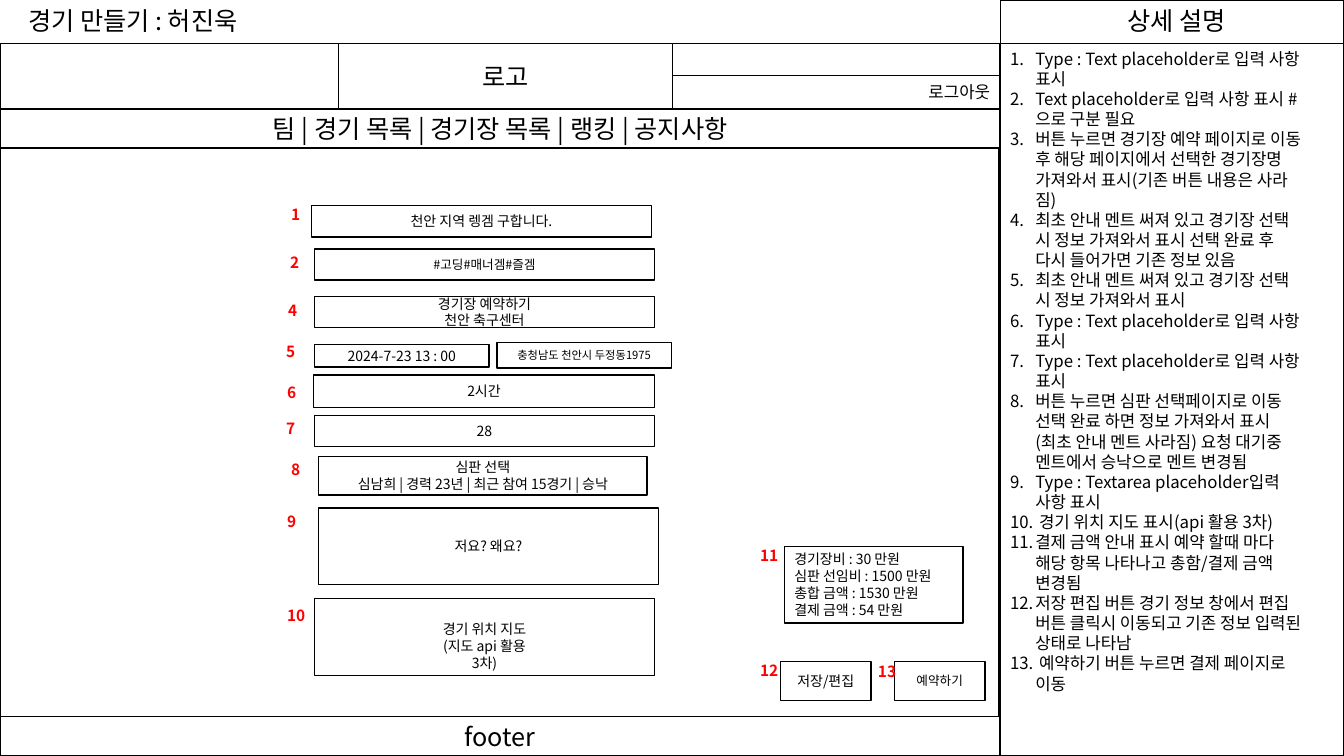
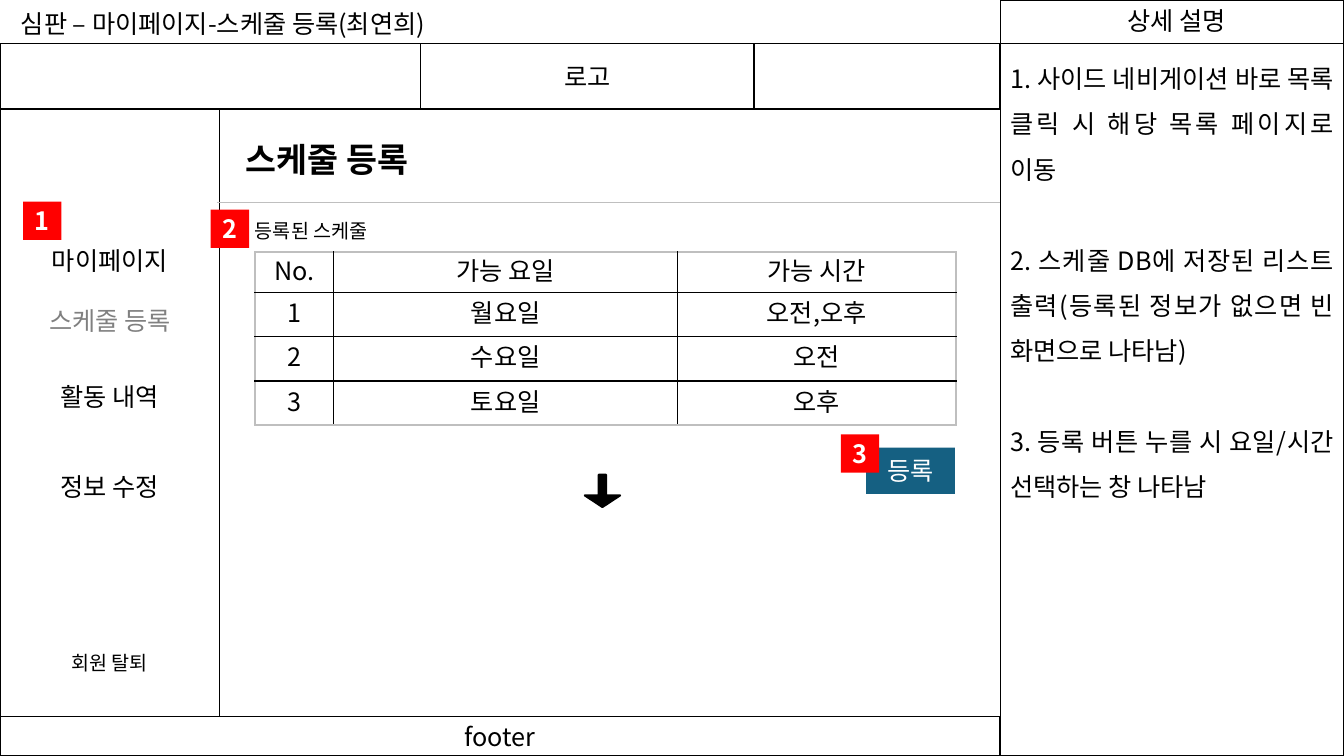
"""Build two wireframe slides: creating a match and registering a referee schedule."""
from lxml.etree import SubElement
from pptx import Presentation
from pptx.dml.color import RGBColor
from pptx.enum.shapes import MSO_CONNECTOR, MSO_SHAPE
from pptx.enum.text import MSO_ANCHOR, PP_ALIGN
from pptx.oxml.ns import qn
from pptx.util import Inches, Pt

FONT = "Noto Sans CJK KR"
LINE_HEIGHT = 1.2
COLORS = {"ink": "000000", "paper": "FFFFFF", "red": "FF0000", "button": "156082",
          "muted": "808080", "rule": "BFBFBF"}
ALIGN = {"left": PP_ALIGN.LEFT, "center": PP_ALIGN.CENTER,
         "right": PP_ALIGN.RIGHT, "justify": PP_ALIGN.JUSTIFY}

MAIN_WIDTH, PANEL_WIDTH, TITLE_HEIGHT = 9.92, 3.41, 0.43
HEADER_HEIGHT, LOGO_WIDTH = 0.65, 3.31
CONTENT_TOP = TITLE_HEIGHT + HEADER_HEIGHT
NAV_HEIGHT = FOOTER_HEIGHT = 0.39
FOOTER_TOP = 7.11

MATCH_FIELDS = [
    ((3.09, 2.04, 3.37, 0.31), ["천안 지역 렝겜 구합니다."], {}),
    ((3.12, 3.42, 1.73, 0.22), ["2024-7-23 13 : 00"], {}),
    ((4.93, 3.4, 1.73, 0.25), ["충청남도 천안시 두정동1975"], {"size": 8}),
    ((3.12, 2.94, 3.37, 0.31), ["경기장 예약하기", "천안 축구센터"], {}),
    ((3.12, 2.47, 3.37, 0.31), ["#고딩#매너겜#즐겜"], {"size": 9}),
    ((3.16, 5.04, 3.37, 0.76), ["저요? 왜요?"], {}),
    ((3.12, 5.94, 3.37, 0.76), ["경기 위치 지도", "(지도 api 활용", "3차)"],
     {"inset_top": 0.22}),
    ((3.12, 4.12, 3.37, 0.31), ["28"], {}),
    ((8.87, 6.56, 0.9, 0.39), ["예약하기"], {"size": 9}),
    ((7.74, 6.56, 0.9, 0.39), ["저장/편집"], {}),
    ((3.16, 4.53, 3.26, 0.38),
     ["심판 선택", "심남희 | 경력 23년 | 최근 참여 15경기 | 승낙"], {}),
    ((7.78, 5.42, 1.77, 0.76),
     ["경기장비 : 30 만원", "심판 선임비 : 1500 만원", "총합 금액 : 1530 만원",
      "결제 금액 : 54 만원"], {"align": "justify"}),
    ((3.11, 3.72, 3.38, 0.32), ["2시간"], {}),
]
MATCH_TAGS = {
    "1": (2.79, 1.99), "2": (2.78, 2.46), "4": (2.76, 2.94), "5": (2.74, 3.34),
    "6": (2.75, 3.75), "7": (2.74, 4.11), "8": (2.79, 4.52), "9": (2.75, 5.03),
    "10": (2.75, 5.96), "11": (7.44, 5.37), "12": (7.44, 6.51), "13": (8.61, 6.52),
}
MATCH_NOTES = [
    "Type : Text placeholder로 입력 사항 표시",
    "Text placeholder로 입력 사항 표시 #으로 구분 필요",
    "버튼 누르면 경기장 예약 페이지로 이동 후 해당 페이지에서 선택한 경기장명 가져와서 "
    "표시(기존 버튼 내용은 사라짐)",
    "최초 안내 멘트 써져 있고 경기장 선택 시 정보 가져와서 표시 선택 완료 후 "
    "다시 들어가면 기존 정보 있음",
    "최초 안내 멘트 써져 있고 경기장 선택 시 정보 가져와서 표시",
    "Type : Text placeholder로 입력 사항 표시",
    "Type : Text placeholder로 입력 사항 표시",
    "버튼 누르면 심판 선택페이지로 이동 선택 완료 하면 정보 가져와서 "
    "표시(최초 안내 멘트 사라짐) 요청 대기중 멘트에서 승낙으로 멘트 변경됨",
    "Type : Textarea placeholder입력 사항 표시",
    " 경기 위치 지도 표시(api 활용 3차)",
    "결제 금액 안내 표시 예약 할때 마다 해당 항목 나타나고 총함/결제 금액 변경됨",
    "저장 편집 버튼 경기 정보 창에서 편집 버튼 클릭시 이동되고 기존 정보 "
    "입력된 상태로 나타남",
    " 예약하기 버튼 누르면 결제 페이지로 이동",
]

SCHEDULE_NOTES = [
    "1. 사이드 네비게이션 바로 목록 클릭 시 해당 목록 페이지로 이동",
    "2. 스케줄 DB에 저장된 리스트 출력(등록된 정보가 없으면 빈 화면으로 나타남)",
    "3. 등록 버튼 누를 시 요일/시간 선택하는 창 나타남",
]
SIDE_MENU = ["마이페이지", "스케줄 등록", "활동 내역", "정보 수정"]
SIDE_MENU_GAPS = [0, 21.6, 32.4, 43.2]
SIDE_MENU_COLORS = ["ink", "muted", "ink", "ink"]
SCHEDULE_ROWS = [
    ("No.", "가능 요일", "가능 시간"),
    ("1", "월요일", "오전,오후"),
    ("2", "수요일", "오전"),
    ("3", "토요일", "오후"),
]
SCHEDULE_WIDTHS = [0.78, 3.41, 2.76]
SCHEDULE_HEIGHTS = [0.4, 0.44, 0.44, 0.44]
SCHEDULE_TAGS = {"1": (0.23, 2), "2": (2.09, 2.08), "3": (8.34, 4.31)}


def rgb(name):
    """Return a palette colour."""
    return RGBColor.from_string(COLORS[name])


def write_text(frame, lines, size=18, color="ink", bold=False, align="left",
               spacing=1, gaps=None, colors=None, numbered=False):
    """Write one paragraph per line with a shared format."""
    frame.word_wrap = True
    for index, line in enumerate(lines):
        paragraph = frame.add_paragraph() if index else frame.paragraphs[0]
        if numbered:
            properties = paragraph._p.get_or_add_pPr()
            properties.set("marL", str(Inches(0.25)))
            properties.set("indent", str(-Inches(0.25)))
            SubElement(properties, qn("a:buFont"), typeface="+mj-lt")
            SubElement(properties, qn("a:buAutoNum"), type="arabicPeriod")
        paragraph.alignment = ALIGN[align]
        paragraph.line_spacing = Pt(size * LINE_HEIGHT * spacing)
        if gaps and index:
            paragraph.space_before = Pt(gaps[index])
        run = paragraph.add_run()
        run.text = line
        run.font.name = FONT
        run.font.size = Pt(size)
        run.font.bold = bold
        run.font.color.rgb = rgb(colors[index] if colors else color)
        SubElement(run._r.get_or_add_rPr(), qn("a:ea"), typeface=FONT)


def add_box(slide, area, lines=(), fill="paper", line="ink", inset_top=0.05,
            kind=MSO_SHAPE.RECTANGLE, line_width=1, **text_format):
    """Add a shape with vertically centred text."""
    shape = slide.shapes.add_shape(kind, *map(Inches, area))
    shape.shadow.inherit = False
    if fill:
        shape.fill.solid()
        shape.fill.fore_color.rgb = rgb(fill)
    else:
        shape.fill.background()
    if line:
        shape.line.color.rgb = rgb(line)
        shape.line.width = Pt(line_width)
    else:
        shape.line.fill.background()
    shape.text_frame.vertical_anchor = MSO_ANCHOR.MIDDLE
    shape.text_frame.margin_top = Inches(inset_top)
    write_text(shape.text_frame, lines, **{"align": "center", **text_format})
    return shape


def add_label(slide, area, lines, **text_format):
    """Add a plain text box."""
    label = slide.shapes.add_textbox(*map(Inches, area))
    write_text(label.text_frame, lines, **text_format)


def add_frame(presentation, title, title_at, logo_left):
    """Add a slide with the description panel, title, header and footer."""
    slide = presentation.slides.add_slide(presentation.slide_layouts[6])
    add_box(slide, (MAIN_WIDTH, TITLE_HEIGHT, PANEL_WIDTH, 7.5 - TITLE_HEIGHT))
    add_box(slide, (MAIN_WIDTH, 0, PANEL_WIDTH, TITLE_HEIGHT))
    add_label(slide, (11.08, 0, 1.3, 0.4), ["상세 설명"])
    add_label(slide, (*title_at, 6, 0.4), [title])
    add_box(slide, (0, TITLE_HEIGHT, MAIN_WIDTH, HEADER_HEIGHT))
    add_box(slide, (logo_left, TITLE_HEIGHT, LOGO_WIDTH, HEADER_HEIGHT), ["로고"])
    add_box(slide, (0, FOOTER_TOP, MAIN_WIDTH, FOOTER_HEIGHT), ["footer"])
    return slide


def set_border(cell, side, color, width):
    """Draw one side of a table cell."""
    border = SubElement(cell._tc.get_or_add_tcPr(), qn(f"a:ln{side}"), w=str(Pt(width)))
    fill = SubElement(border, qn("a:solidFill"))
    SubElement(fill, qn("a:srgbClr"), val=COLORS[color])


def add_schedule(slide):
    """Add the schedule table with a grey outline and black inner lines."""
    last_row, last_column = len(SCHEDULE_ROWS) - 1, len(SCHEDULE_WIDTHS) - 1
    area = (2.53, 2.5, sum(SCHEDULE_WIDTHS), sum(SCHEDULE_HEIGHTS))
    table = slide.shapes.add_table(last_row + 1, last_column + 1, *map(Inches, area)).table
    table.first_row = table.horz_banding = False
    for column, width in zip(table.columns, SCHEDULE_WIDTHS):
        column.width = Inches(width)
    for row, height in zip(table.rows, SCHEDULE_HEIGHTS):
        row.height = Inches(height)
    for row_index, values in enumerate(SCHEDULE_ROWS):
        for column_index, value in enumerate(values):
            cell = table.cell(row_index, column_index)
            cell.vertical_anchor = MSO_ANCHOR.MIDDLE
            write_text(cell.text_frame, [value], align="center")
            outer = {"L": column_index == 0, "R": column_index == last_column,
                     "T": row_index == 0, "B": row_index == last_row}
            for side, is_outer in outer.items():
                set_border(cell, side, *(("rule", 1.5) if is_outer else ("ink", 1)))
            cell.fill.background()


def build_match_slide(presentation):
    """Build the match creation screen."""
    logo_left = 3.36
    slide = add_frame(presentation, "경기 만들기 : 허진욱", (0.18, 0), logo_left)
    add_box(slide, (0, CONTENT_TOP, MAIN_WIDTH, NAV_HEIGHT),
            ["팀 | 경기 목록 | 경기장 목록 | 랭킹 | 공지사항"])
    logout_left = logo_left + LOGO_WIDTH
    add_box(slide, (logout_left, 0.75, MAIN_WIDTH - logout_left, 0.33), ["로그아웃"],
            size=12, align="right")
    body_top = CONTENT_TOP + NAV_HEIGHT
    add_box(slide, (0, body_top, MAIN_WIDTH - 0.01, FOOTER_TOP - body_top))
    for area, lines, text_format in MATCH_FIELDS:
        add_box(slide, area, lines, **{"size": 10, **text_format})
    for number, position in MATCH_TAGS.items():
        add_label(slide, (*position, 0.5, 0.29), [number], size=11, color="red", bold=True)
    add_label(slide, (MAIN_WIDTH, TITLE_HEIGHT, 3.13, 7), MATCH_NOTES, size=12, numbered=True)


def build_schedule_slide(presentation):
    """Build the referee schedule screen."""
    slide = add_frame(presentation, "심판 – 마이페이지-스케줄 등록(최연희)", (0.11, 0.03), 4.17)
    add_box(slide, (0, CONTENT_TOP, 2.18, FOOTER_TOP - CONTENT_TOP), fill=None)
    add_label(slide, (0.61, 6.41, 1.31, 0.34), ["회원 탈퇴"], size=14)
    add_label(slide, (0.16, 2.38, 1.86, 3.07), SIDE_MENU, align="center",
              gaps=SIDE_MENU_GAPS, colors=SIDE_MENU_COLORS)
    add_label(slide, (MAIN_WIDTH, TITLE_HEIGHT, PANEL_WIDTH, 6.4), SCHEDULE_NOTES,
              align="justify", spacing=1.5, gaps=[32.4] * len(SCHEDULE_NOTES))
    add_label(slide, (2.34, 1.33, 2.94, 0.5), ["스케줄 등록"], size=24, bold=True)
    rule = slide.shapes.add_connector(
        MSO_CONNECTOR.STRAIGHT, *map(Inches, (2.15, 2.01, MAIN_WIDTH, 2.01)))
    rule.line.color.rgb = rgb("rule")
    rule.line.width = Pt(0.75)
    SubElement(rule._element.spPr, qn("a:effectLst"))
    add_label(slide, (2.43, 2.12, 1.64, 0.34), ["등록된 스케줄"], size=14)
    add_schedule(slide)
    add_box(slide, (8.59, 4.44, 0.88, 0.46), ["등록"], fill="button", line=None, color="paper")
    arrow = add_box(slide, (5.8, 4.71, 0.35, 0.32), fill="ink", line_width=1.5,
                    kind=MSO_SHAPE.DOWN_ARROW)
    arrow.adjustments[0], arrow.adjustments[1] = 0.21, 0.36
    for number, position in SCHEDULE_TAGS.items():
        add_box(slide, (*position, 0.38, 0.38), [number], fill="red", line=None,
                color="paper", bold=True)


def main():
    """Create and save the presentation."""
    presentation = Presentation()
    presentation.slide_width = Inches(13.33)
    presentation.slide_height = Inches(7.5)
    build_match_slide(presentation)
    build_schedule_slide(presentation)
    presentation.save("out.pptx")


if __name__ == "__main__":
    main()
